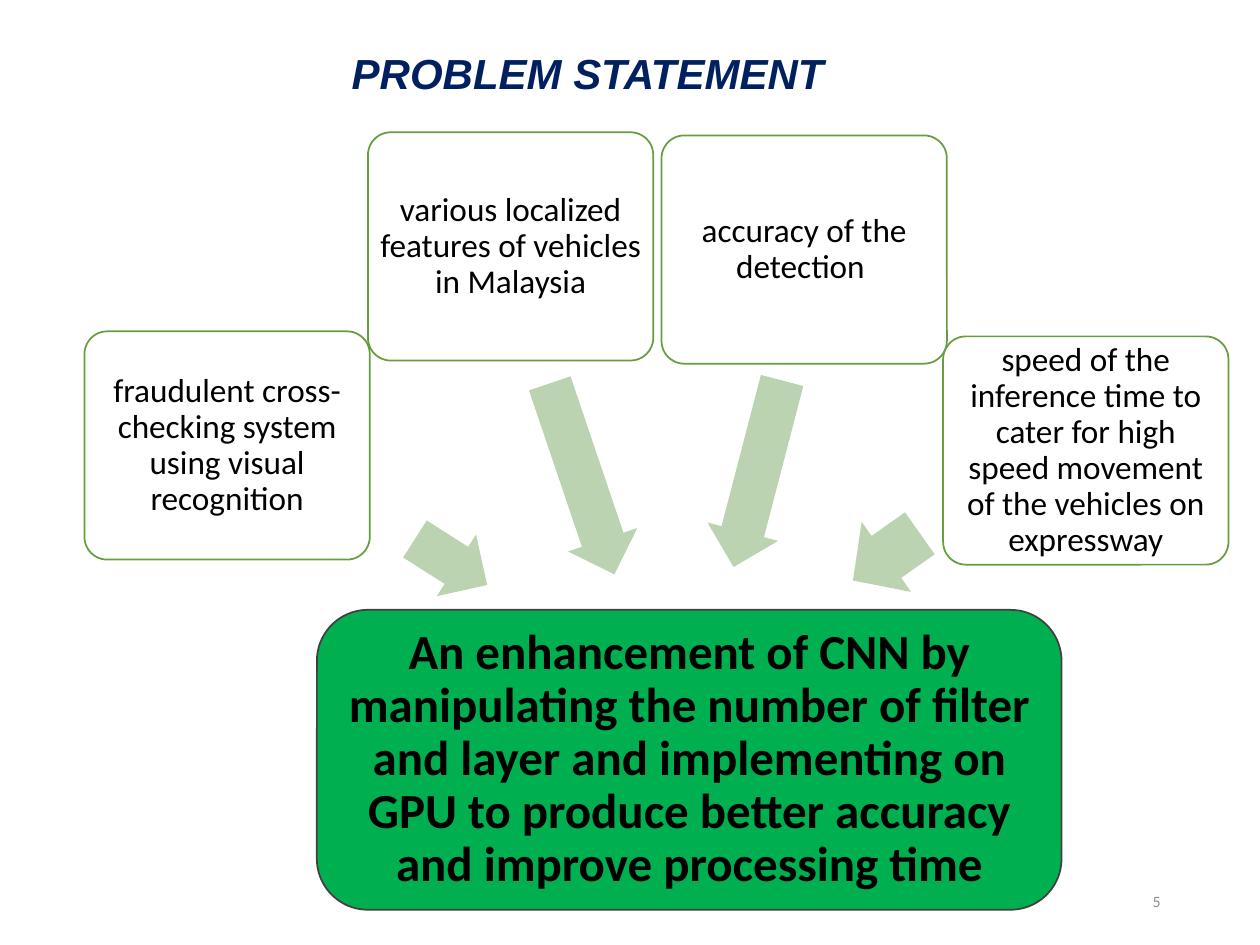
from collections import namedtuple

from pptx import Presentation
from pptx.dml.color import RGBColor
from pptx.enum.shapes import MSO_SHAPE
from pptx.enum.text import MSO_ANCHOR, PP_ALIGN
from pptx.util import Inches, Pt

COLUMNS, ROWS = 100, 75
CELL = Inches(0.1)
CARD_WIDTH, CARD_HEIGHT = 22.65, 18.12

Box = namedtuple("Box", "left top width height")

FACTORS = [
    ("fraudulent cross-checking system using visual recognition",
     (6.7, 26.3), Box(32.4, 41.7, 6.8, 5.8), 212.5),
    ("various localized features of vehicles in Malaysia",
     (29.2, 10.5), Box(38.2, 35.1, 16, 5.8), 251.3),
    ("accuracy of the detection ",
     (52.5, 10.75), Box(52.5, 34.7, 15.3, 5.8), 284.6),
    ("speed of the inference time to cater for high speed movement of the vehicles on expressway",
     (74.85, 26.7), Box(67.1, 40.8, 6.5, 6.8), 324.8),
]


def color(value):
    return RGBColor.from_string(value)


def place(box):
    return [round(length * CELL) for length in box]


def write(shape, text, size, ink, font="Calibri", align=PP_ALIGN.CENTER,
          anchor=MSO_ANCHOR.MIDDLE, bold=False, italic=False):
    frame = shape.text_frame
    frame.word_wrap = True
    frame.vertical_anchor = anchor
    para = frame.paragraphs[0]
    para.text = text
    para.alignment = align
    para.font.name = font
    para.font.size = Pt(size)
    para.font.bold = bold
    para.font.italic = italic
    para.font.color.rgb = color(ink)
    return frame


def add_label(page, box, text, size, ink, **style):
    write(page.shapes.add_textbox(*place(box)), text, size, ink, **style)


def add_filled(page, kind, box, fill):
    shape = page.shapes.add_shape(kind, *place(box))
    shape.shadow.inherit = False
    shape.fill.solid()
    shape.fill.fore_color.rgb = color(fill)
    return shape


def add_card(page, box, text, size, fill, outline, rounding, inset, bold=False):
    card = add_filled(page, MSO_SHAPE.ROUNDED_RECTANGLE, box, fill)
    card.adjustments[0] = rounding
    card.line.color.rgb = color(outline)
    card.line.width = Pt(1)
    frame = write(card, text, size, "000000", bold=bold)
    frame.margin_left = frame.margin_right = Inches(inset)
    frame.margin_top = frame.margin_bottom = Inches(inset)
    frame.paragraphs[0].line_spacing = 0.9


def add_arrow(page, box, rotation):
    arrow = add_filled(page, MSO_SHAPE.LEFT_ARROW, box, "BBD3B1")
    arrow.line.fill.background()
    arrow.adjustments[0] = 0.6
    arrow.adjustments[1] = 0.5
    arrow.rotation = rotation


def add_factors(page):
    for text, corner, arrow_box, rotation in FACTORS:
        add_arrow(page, arrow_box, rotation)
        add_card(page, Box(*corner, CARD_WIDTH, CARD_HEIGHT), text, 19,
                 "FFFFFF", "669D40", rounding=0.1, inset=0.04)


def main():
    deck = Presentation()
    deck.slide_width = COLUMNS * CELL
    deck.slide_height = ROWS * CELL
    page = deck.slides.add_slide(deck.slide_layouts[6])
    add_label(page, Box(6.1, 3.3, 81.1, 5), "PROBLEM STATEMENT", 24, "002060",
              font="Arial", anchor=MSO_ANCHOR.TOP, bold=True, italic=True)
    add_label(page, Box(70.6, 69.5, 22.5, 4), "5", 9, "8C8C8C", align=PP_ALIGN.RIGHT)
    add_card(page, Box(25.15, 48.4, 59.1, 23.8),
             "An enhancement of CNN by manipulating the number of filter and layer "
             "and implementing on GPU to produce better accuracy and improve processing time",
             28, "00B050", "404040", rounding=0.17, inset=0.02, bold=True)
    add_factors(page)
    deck.save("out.pptx")


if __name__ == "__main__":
    main()
